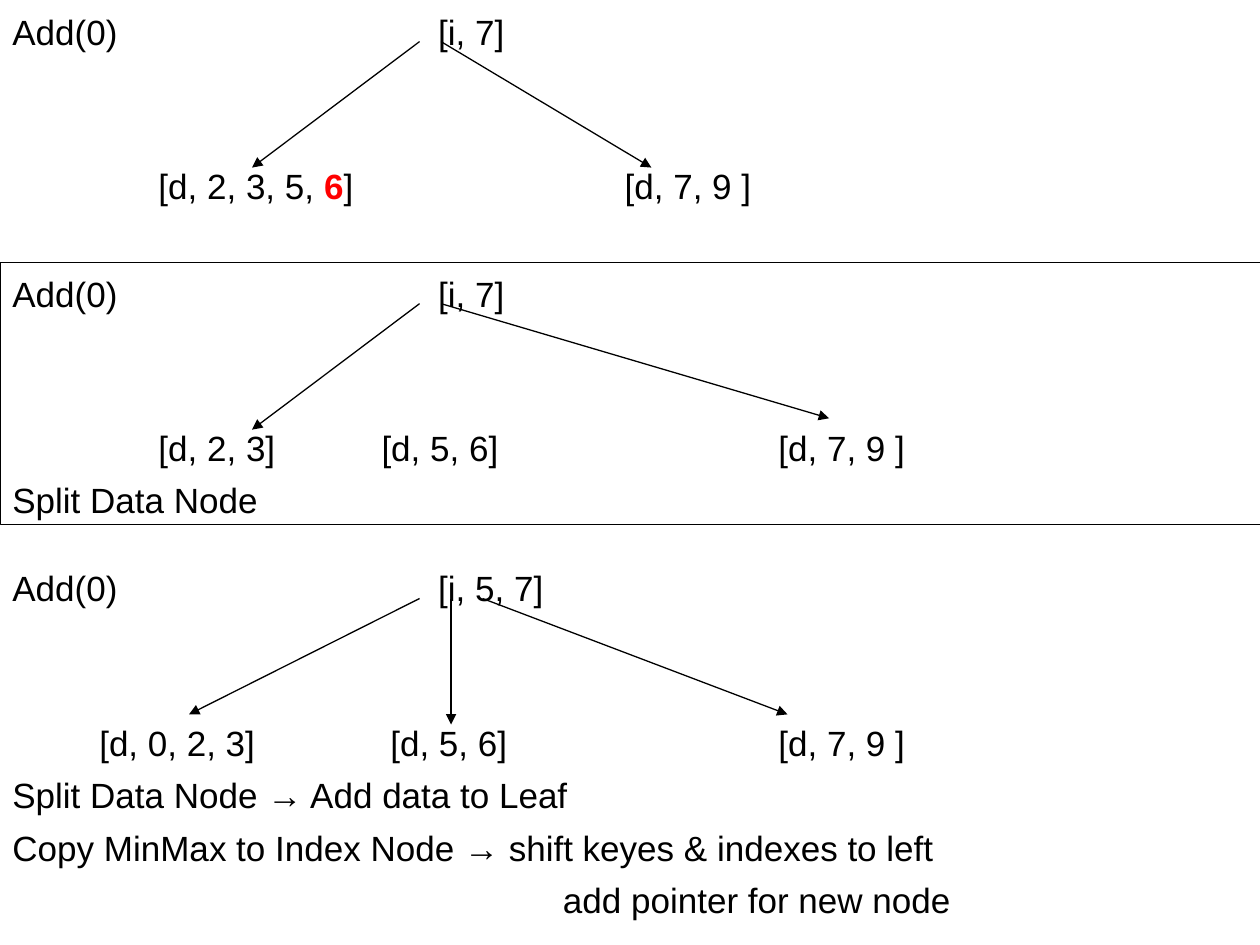
from dataclasses import dataclass

from pptx import Presentation
from pptx.dml.color import RGBColor
from pptx.enum.shapes import MSO_CONNECTOR, MSO_SHAPE
from pptx.enum.text import MSO_ANCHOR, PP_ALIGN
from pptx.oxml.ns import qn
from pptx.util import Inches, Pt
from lxml.etree import SubElement

COLORS = {"ink": "000000", "new_key": "FF0000"}
FONT = "Arial"
ROW_GAP = 6    # points after an ordinary row
TREE_GAP = 64  # points after an index row, leaving room for the arrows


@dataclass(frozen=True)
class Span:
    text: str
    color: str = "ink"
    bold: bool = False


@dataclass(frozen=True)
class Row:
    spans: tuple[Span, ...]
    tabs: tuple[float, ...] = ()
    gap: int = ROW_GAP


@dataclass(frozen=True)
class Arrow:
    start_x: float
    end_x: float
    drop: float


@dataclass(frozen=True)
class Panel:
    top: float
    height: float
    rows: tuple[Row, ...]
    arrows: tuple[Arrow, ...]
    framed: bool = False


def index_row(node: str) -> Row:
    return Row((Span(f"Add(0)\t{node}"),), (3.38,), TREE_GAP)


def text_row(text: str, *tabs: float) -> Row:
    return Row((Span(text),), tabs)


PANELS = (
    # Leaf is full before the insert
    Panel(
        0, 1.83,
        (
            index_row("[i, 7]"),
            Row((Span("\t[d, 2, 3, 5, "), Span("6", "new_key", True),
                 Span("]\t[d, 7, 9 ]")), (1.16, 4.86)),
        ),
        (Arrow(3.33, 2, 1), Arrow(3.5, 5.17, 1)),
    ),
    # Leaf is split
    Panel(
        2.08, 2.08,
        (
            index_row("[i, 7]"),
            text_row("\t[d, 2, 3]\t[d, 5, 6]\t[d, 7, 9 ]", 1.16, 2.93, 6.08),
            text_row("Split Data Node"),
        ),
        (Arrow(3.33, 2, 1), Arrow(3.5, 6.58, 0.91)),
        framed=True,
    ),
    # Key is added and the index node updated
    Panel(
        4.42, 2.9,
        (
            index_row("[i, 5, 7]"),
            text_row("\t[d, 0, 2, 3]\t[d, 5, 6]\t[d, 7, 9 ]", 0.69, 3, 6.08),
            text_row("Split Data Node → Add data to Leaf"),
            text_row("Copy MinMax to Index Node → shift keyes & indexes to left"),
            text_row("\tadd pointer for new node", 4.37),
        ),
        (Arrow(3.33, 1.5, 0.92), Arrow(3.58, 3.58, 1), Arrow(3.83, 6.25, 0.92)),
    ),
)


def rgb(name: str) -> RGBColor:
    return RGBColor.from_string(COLORS[name])


def add_row(paragraph, row: Row) -> None:
    paragraph.alignment = PP_ALIGN.LEFT
    paragraph.space_after = Pt(row.gap)
    for item in row.spans:
        span = paragraph.add_run()
        span.text = item.text
        span.font.name = FONT
        span.font.size = Pt(20)
        span.font.bold = item.bold
        span.font.color.rgb = rgb(item.color)
    if row.tabs:
        tab_list = SubElement(paragraph._p.get_or_add_pPr(), qn("a:tabLst"))
        for position in row.tabs:
            SubElement(tab_list, qn("a:tab"), pos=str(Inches(position)), algn="l")


def add_panel(page, panel: Panel) -> None:
    bounds = (Inches(0), Inches(panel.top), Inches(10), Inches(panel.height))
    if panel.framed:
        box = page.shapes.add_shape(MSO_SHAPE.RECTANGLE, *bounds)
        box.shadow.inherit = False
        box.fill.background()
        box.line.color.rgb = rgb("ink")
        box.line.width = Pt(0.25)
    else:
        box = page.shapes.add_textbox(*bounds)
    frame = box.text_frame
    frame.word_wrap = True
    frame.vertical_anchor = MSO_ANCHOR.TOP
    frame.margin_left = frame.margin_right = Inches(0.1)
    frame.margin_top = Inches(0.08)
    frame.margin_bottom = Inches(0.05)
    for number, row in enumerate(panel.rows):
        add_row(frame.add_paragraph() if number else frame.paragraphs[0], row)


def add_arrow(page, arrow: Arrow, panel_top: float) -> None:
    start_y = panel_top + 0.33
    connector = page.shapes.add_connector(
        MSO_CONNECTOR.STRAIGHT, Inches(arrow.start_x), Inches(start_y),
        Inches(arrow.end_x), Inches(start_y + arrow.drop))
    connector.line.color.rgb = rgb("ink")
    connector.line.width = Pt(0.75)
    SubElement(connector.line._get_or_add_ln(), qn("a:tailEnd"), type="triangle")
    SubElement(connector._element.spPr, qn("a:effectLst"))


def main() -> None:
    deck = Presentation()
    deck.slide_width, deck.slide_height = Inches(10), Inches(7.5)
    page = deck.slides.add_slide(deck.slide_layouts[6])
    for panel in PANELS:
        add_panel(page, panel)
        for arrow in panel.arrows:
            add_arrow(page, arrow, panel.top)
    deck.save("out.pptx")


if __name__ == "__main__":
    main()
